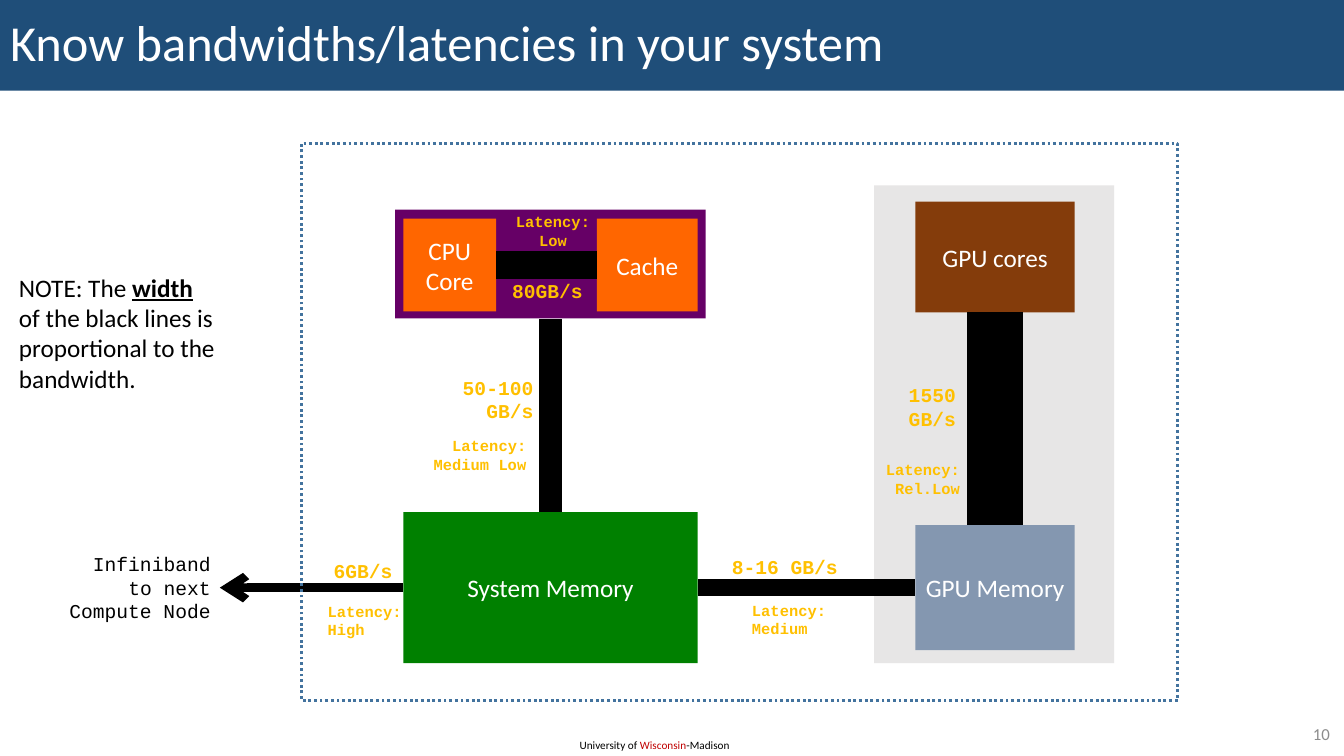
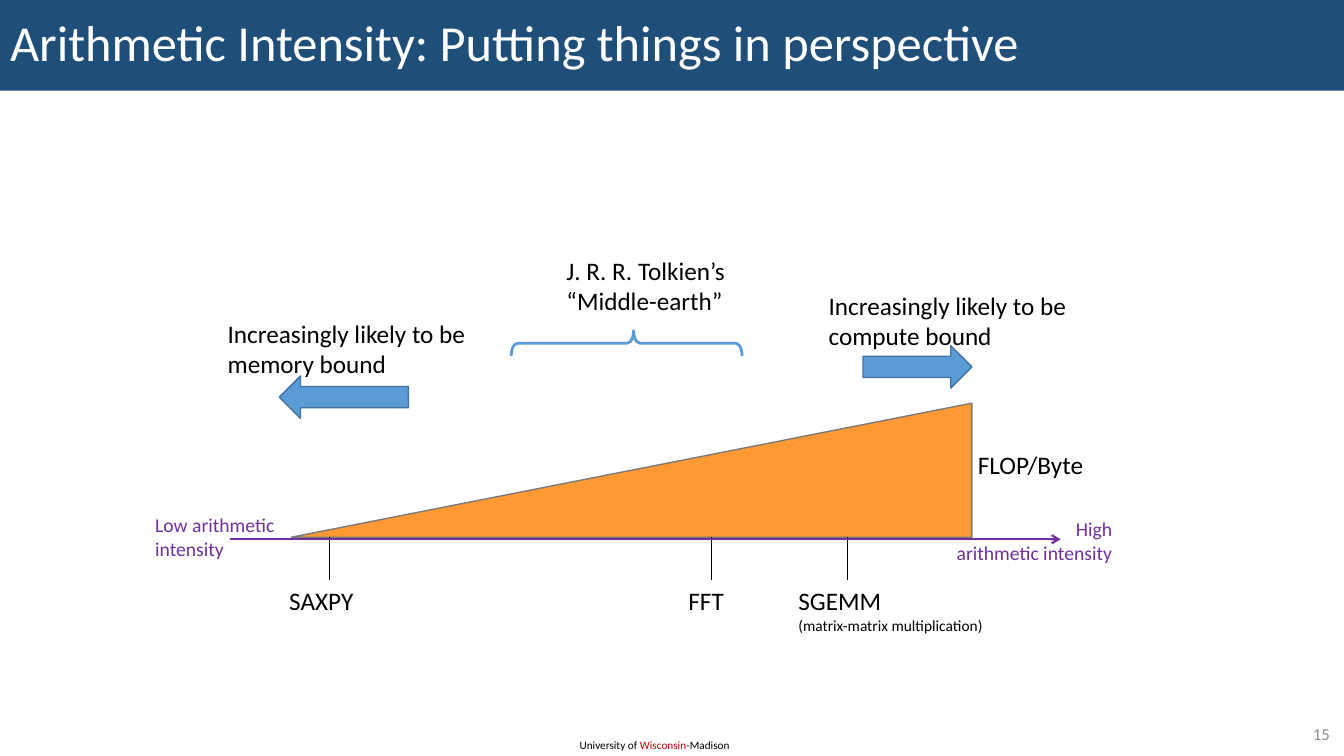
"""Build two slides on system bandwidths and arithmetic intensity."""
from lxml import etree
from pptx import Presentation
from pptx.dml.color import RGBColor
from pptx.enum.dml import MSO_LINE as Dash
from pptx.enum.shapes import MSO_CONNECTOR as Conn, MSO_SHAPE as Kind
from pptx.enum.text import MSO_ANCHOR as Anchor, MSO_AUTO_SIZE as Fit, PP_ALIGN as Align
from pptx.oxml.ns import qn
from pptx.util import Inches, Pt


class Theme:
    navy, white, black, red = "1F4E79", "FFFFFF", "000000", "C00000"
    gray, mute, gold, plum = "E7E6E6", "8C8C8C", "FFC000", "660066"
    green, brown, slate, flame = "008000", "843C0B", "8497B0", "FF6600"
    blue, edge, amber, rim, violet = "5B9BD5", "43739E", "FF9933", "7A7A7A", "7030A0"
    sans, mono = "Calibri", "Courier New"
    head, body, label, small, foot, page = 36, 18, 14, 11, 8, 12


LEFT, MID, RIGHT = Align.LEFT, Align.CENTER, Align.RIGHT
TOP, WEST, BASE, EAST = range(4)

FOOT = [("University of ", {}), ("Wisconsin", {"color": Theme.red}), ("-Madison", {})]

PANELS = [
    ((8.67, 1.84, 2.38, 4.74), Theme.gray),
    ((3.92, 2.08, 3.08, 1.08), Theme.plum),
]
FRAME = (2.99, 1.42, 8.69, 5.53)
UNITS = {
    "System Memory": ((4, 5.08, 2.92, 1.5), Theme.green),
    "GPU cores": ((9.08, 2, 1.58, 1.1), Theme.brown),
    "GPU Memory": ((9.08, 5.21, 1.58, 1.24), Theme.slate),
    "CPU Core": ((4, 2.17, 0.92, 0.92), Theme.flame),
    "Cache": ((5.92, 2.17, 1, 0.92), Theme.flame),
}
LINKS = [
    ("System Memory", EAST, "GPU Memory", WEST, 12),
    ("GPU cores", BASE, "GPU Memory", TOP, 40),
    ("System Memory", TOP, "chip", BASE, 17),
    ("CPU Core", EAST, "Cache", WEST, 20),
]
RATES = [
    ("50-100\nGB/s", (4.48, 3.68, 0.91, 0.57), RIGHT),
    ("8-16 GB/s", (7.16, 5.46, 1.26, 0.34), LEFT),
    ("1550\nGB/s", (8.91, 3.75, 0.67, 0.57), RIGHT),
    ("6GB/s", (3.21, 5.5, 0.79, 0.34), LEFT),
    ("80GB/s", (4.98, 2.72, 0.91, 0.34), LEFT),
]
DELAYS = [
    ("High", (3.15, 5.92, 0.95, 0.47), LEFT),
    ("Medium", (7.36, 5.91, 0.95, 0.47), LEFT),
    ("Medium Low", (4.19, 4.28, 1.13, 0.47), RIGHT),
    ("Low", (5.01, 2.06, 0.95, 0.47), MID),
    ("Rel.Low", (8.67, 4.52, 0.95, 0.47), RIGHT),
]
NOTE = [
    ("NOTE: The ", {}),
    ("width", {"bold": True, "under": True}),
    ("\nof the black lines is\nproportional to the\nbandwidth.", {}),
]

AXIS = 5.35
TICKS = [
    (3.27, 2.77, 0.84, [("SAXPY", {})]),
    (7.06, 6.73, 0.56, [("FFT", {})]),
    (8.4, 7.82, 2.05,
     [("SGEMM\n", {}), ("(matrix-matrix multiplication)", {"size": Theme.small})]),
]
CLAIMS = [
    ("FLOP/Byte", (9.6, 4.41, 1.26, 0.4)),
    ("Increasingly likely to be\nmemory bound", (2.16, 3.11, 2.58, 0.71)),
    ("Increasingly likely to be\ncompute bound", (8.12, 2.83, 2.58, 0.71)),
    ("J. R. R. Tolkien’s\n“Middle-earth”", (5.52, 2.48, 1.78, 0.71)),
]
ENDS = [
    ("Low arithmetic\nintensity", (1.44, 5.04, 1.45, 0.57), LEFT),
    ("High\narithmetic intensity", (9.3, 5.08, 1.83, 0.57), RIGHT),
]
ARROWS = [
    (Kind.LEFT_ARROW, (2.77, 3.73, 1.28, 0.42)),
    (Kind.RIGHT_ARROW, (8.56, 3.43, 1.08, 0.42)),
]


def rgb(color):
    return RGBColor.from_string(color)


def inch(nums):
    return [Inches(n) for n in nums]


def write(frame, runs, size=Theme.body, color=Theme.black, font=Theme.sans,
          bold=False, align=LEFT):
    para = frame.paragraphs[0]
    para.alignment = align
    for text, look in [(runs, {})] if isinstance(runs, str) else runs:
        for i, line in enumerate(text.split("\n")):
            if i:
                para.add_line_break()
            if not line:
                continue
            run = para.add_run()
            run.text = line
            face = run.font
            face.name = font
            face.size = Pt(look.get("size", size))
            face.bold = look.get("bold", bold)
            face.underline = look.get("under", False)
            face.color.rgb = rgb(look.get("color", color))
    return para


def label(slide, runs, box, wrap=False, **look):
    frame = slide.shapes.add_textbox(*inch(box)).text_frame
    frame.word_wrap = wrap
    frame.auto_size = Fit.SHAPE_TO_FIT_TEXT
    write(frame, runs, **look)
    return frame


def shape(slide, kind, box, fill=None, line=None, width=1):
    item = slide.shapes.add_shape(kind, *inch(box))
    item.shadow.inherit = False
    if fill:
        item.fill.solid()
        item.fill.fore_color.rgb = rgb(fill)
    else:
        item.fill.background()
    if line:
        item.line.color.rgb = rgb(line)
        item.line.width = Pt(width)
    else:
        item.line.fill.background()
    return item


def link(slide, start, end, color, width, arrow=False):
    item = slide.shapes.add_connector(Conn.STRAIGHT, *inch(start + end))
    item.line.color.rgb = rgb(color)
    item.line.width = Pt(width)
    if arrow:
        etree.SubElement(item.line._get_or_add_ln(), qn("a:tailEnd"), type="arrow")
    etree.SubElement(item.element.spPr, qn("a:effectLst"))
    return item


def page(deck, title, number):
    slide = deck.slides.add_slide(deck.slide_layouts[5])
    band = slide.shapes.title
    band.left, band.top, band.width, band.height = inch((0, 0, 13.33, 0.9))
    band.fill.solid()
    band.fill.fore_color.rgb = rgb(Theme.navy)
    frame = band.text_frame
    frame.auto_size = Fit.NONE
    frame.vertical_anchor = Anchor.MIDDLE
    write(frame, title, Theme.head, Theme.white).line_spacing = 0.9
    label(slide, FOOT, (5.65, 7.28, 1.72, 0.24), True, size=Theme.foot)
    label(slide, number, (12.53, 7.13, 0.76, 0.29), True, size=Theme.page,
          color=Theme.mute, align=RIGHT).vertical_anchor = Anchor.MIDDLE
    return slide


def system(deck):
    slide = page(deck, "Know bandwidths/latencies in your system", "10")
    for box, fill in PANELS:
        panel = shape(slide, Kind.RECTANGLE, box, fill)
    units = {"chip": panel}
    for name, (box, fill) in UNITS.items():
        unit = units[name] = shape(slide, Kind.RECTANGLE, box, fill)
        frame = unit.text_frame
        frame.word_wrap = True
        frame.margin_left = frame.margin_right = Inches(0.05)
        frame.vertical_anchor = Anchor.MIDDLE
        write(frame, name, color=Theme.white, align=MID)
    for first, out, last, into, width in LINKS:
        bus = link(slide, (0, 0), (1, 1), Theme.black, width)
        bus.begin_connect(units[first], out)
        bus.end_connect(units[last], into)
    net = link(slide, (4, 5.83), (2.18, 5.83), Theme.black, 6, True)
    net.begin_connect(units["System Memory"], WEST)
    gold = {"color": Theme.gold, "font": Theme.mono, "bold": True}
    for text, box, align in RATES:
        label(slide, text, box, size=Theme.label, align=align, **gold)
    for text, box, align in DELAYS:
        label(slide, "Latency:\n" + text, box, size=Theme.small, align=align, **gold)
    label(slide, "Infiniband to next Compute Node", (0.48, 5.43, 1.71, 0.81), True,
          size=Theme.label, font=Theme.mono, align=RIGHT)
    label(slide, NOTE, (0.09, 2.65, 2.14, 1.31))
    node = shape(slide, Kind.RECTANGLE, FRAME, line=Theme.edge, width=2)
    node.line.dash_style = Dash.ROUND_DOT


def scale(deck):
    slide = page(deck, "Arithmetic Intensity: Putting things in perspective", "15")
    ramp = shape(slide, Kind.RIGHT_TRIANGLE, (2.89, 4, 6.75, 1.33), Theme.amber, Theme.rim)
    ramp.element.spPr.find(qn("a:xfrm")).set("flipH", "1")
    for kind, box in ARROWS:
        shape(slide, kind, box, Theme.blue, Theme.edge)
    for text, box in CLAIMS:
        label(slide, text, box)
    for x, left, width, runs in TICKS:
        link(slide, (x, AXIS - 0.02), (x, AXIS + 0.4), Theme.black, 0.5)
        label(slide, runs, (left, AXIS + 0.41, width, 0.4))
    link(slide, (2.28, AXIS), (10.52, AXIS), Theme.violet, 1.5, True)
    for text, box, align in ENDS:
        label(slide, text, box, True, size=Theme.label, color=Theme.violet, align=align)
    brace = shape(slide, Kind.RIGHT_BRACE, (6.09, 2.26, 0.25, 2.29), line=Theme.blue, width=2)
    brace.rotation = 270
    brace.adjustments[0], brace.adjustments[1] = 0.25, 0.53


def main():
    deck = Presentation()
    deck.slide_width, deck.slide_height = inch((13.33, 7.5))
    system(deck)
    scale(deck)
    deck.save("out.pptx")


if __name__ == "__main__":
    main()
